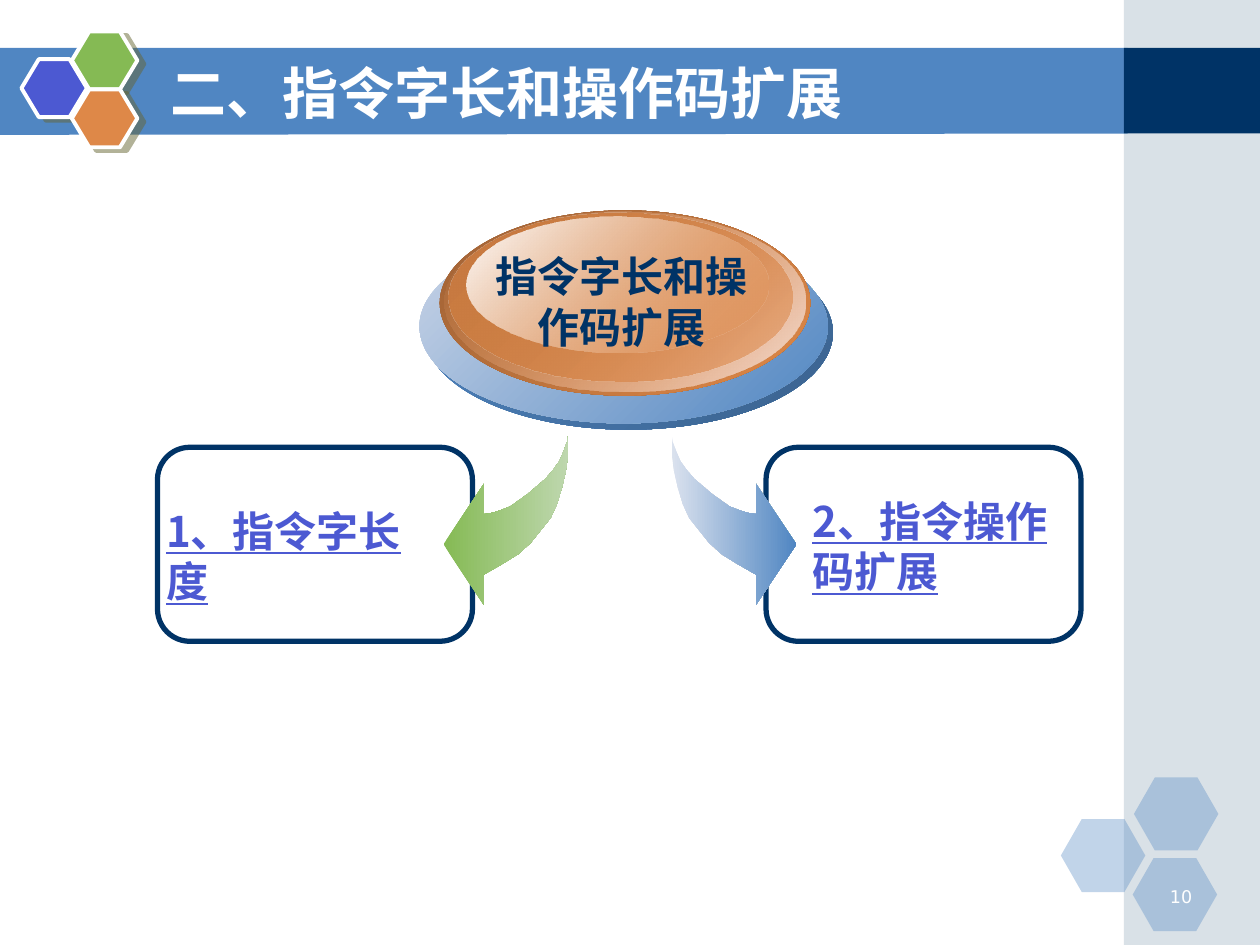
from lxml.etree import SubElement
from pptx import Presentation
from pptx.dml.color import RGBColor
from pptx.enum.shapes import MSO_SHAPE
from pptx.enum.text import MSO_ANCHOR, PP_ALIGN
from pptx.oxml.ns import qn
from pptx.util import Inches, Pt

WHITE = RGBColor(0xFF, 0xFF, 0xFF)
NAVY = RGBColor(0x00, 0x33, 0x66)
BLUE = RGBColor(0x50, 0x86, 0xC2)
DEEP = RGBColor(0x3A, 0x62, 0x8E)
PALE = RGBColor(0xCA, 0xD5, 0xE7)
MIST = RGBColor(0xDB, 0xE2, 0xEE)
SLATE = RGBColor(0xA0, 0xB5, 0xC4)
VIOLET = RGBColor(0x4C, 0x59, 0xD2)
GREEN = RGBColor(0x85, 0xBA, 0x54)
LIME = RGBColor(0xBE, 0xD7, 0xAE)
ORANGE = RGBColor(0xDE, 0x88, 0x48)
BROWN = RGBColor(0x9F, 0x61, 0x34)
COPPER = RGBColor(0xC9, 0x7B, 0x41)
CREAM = RGBColor(0xF4, 0xDF, 0xD6)
OLIVE = RGBColor(0x66, 0x66, 0x33)

NOTO = "Noto Sans CJK SC"
TITLE = "二、指令字长和操作码扩展"
LABELS = [
    ("1、指令字长度", (1.22, 3.96, 2.39, 0.5), dict(font=NOTO, color=VIOLET, under=True)),
    ("指令字长和操作码扩展", (3.74, 1.94, 2.39, 0.9),
     dict(font="Arial", color=NAVY, align=PP_ALIGN.CENTER)),
    ("2、指令操作码扩展", (6.35, 3.88, 2.23, 0.9), dict(font=NOTO, color=VIOLET, under=True)),
    ("10", (9.06, 6.98, 0.5, 0.25),
     dict(font="DejaVu Sans", size=10, color=WHITE, bold=False, align=PP_ALIGN.RIGHT)),
]
BAR = [(-0.01, 0.38), (8.95, 0.38), (8.95, 1.06), (-0.01, 1.07)]
CELLS = [(8.42, 6.5), (9, 6.17), (8.99, 6.81)]
LOGO = [(0.17, 0.47, VIOLET), (0.57, 0.25, GREEN), (0.57, 0.71, ORANGE)]
CARDS = [6.08, 1.25]
ARROW = [
    (4.51, 3.45), (4.51, 3.6), (4.49, 3.74), (4.46, 3.87), (4.42, 4), (4.37, 4.11),
    (4.29, 4.21), (4.21, 4.31), (4.11, 4.4), (3.98, 4.48), (3.84, 4.56), (3.84, 4.8),
    (3.52, 4.32), (3.84, 3.84), (3.84, 4.08), (3.91, 4.07), (3.97, 4.05), (4.05, 4.02),
    (4.12, 3.97), (4.19, 3.92), (4.26, 3.86), (4.33, 3.8), (4.39, 3.73), (4.44, 3.66),
    (4.47, 3.59), (4.5, 3.51),
]
AXIS = 4.92
DISCS = [
    ((3.37, 1.87, 3.24, 1.54), (BLUE, 100), (DEEP, 100)),
    ((3.33, 1.82, 3.24, 1.54), (PALE, 100), (BLUE, 100)),
    ((3.49, 1.67, 2.94, 1.47), (BROWN, 100), (ORANGE, 100)),
    ((3.53, 1.68, 2.86, 1.43), (ORANGE, 0), (CREAM, 100)),
    ((3.56, 1.69, 2.73, 1.34), (COPPER, 100), (ORANGE, 48)),
    ((3.7, 1.72, 2.4, 1.08), (WHITE, 100), (ORANGE, 38)),
]

deck = Presentation()
deck.slide_width, deck.slide_height = Inches(10), Inches(7.5)
slide = deck.slides.add_slide(deck.slide_layouts[5])
shapes = slide.shapes


def tint(node, color, alpha):
    rgb = SubElement(node, qn("a:srgbClr"), val=str(color))
    if alpha < 100:
        SubElement(rgb, qn("a:alpha"), val=str(alpha * 1000))


def paint(shape, fill=None, alpha=100, line=None, width=1):
    shape.shadow.inherit = False
    if fill is None:
        shape.fill.background()
    else:
        shape.fill.solid()
        shape.fill.fore_color.rgb = fill
        if alpha < 100:
            rgb = shape.element.spPr.find(qn("a:solidFill"))[0]
            SubElement(rgb, qn("a:alpha"), val=str(alpha * 1000))
    if line is None:
        shape.line.fill.background()
    else:
        shape.line.color.rgb = line
        shape.line.width = Pt(width)
    return shape


def blend(shape, stops, angle):
    paint(shape, WHITE)
    solid = shape.element.spPr.find(qn("a:solidFill"))
    grad = solid.makeelement(qn("a:gradFill"), {"rotWithShape": "1"})
    solid.getparent().replace(solid, grad)
    items = SubElement(grad, qn("a:gsLst"))
    for pos, (color, alpha) in zip((0, 100000), stops):
        tint(SubElement(items, qn("a:gs"), pos=str(pos)), color, alpha)
    SubElement(grad, qn("a:lin"), ang=str(angle * 60000), scaled="0")


def add(kind, box, adjust=None, **look):
    shape = shapes.add_shape(kind, *map(Inches, box))
    if adjust is not None:
        shape.adjustments[0] = adjust
    return paint(shape, **look)


def trace(points):
    spots = [(Inches(x), Inches(y)) for x, y in points]
    pen = shapes.build_freeform(*spots[0], scale=1.0)
    pen.add_line_segments(spots[1:], close=True)
    return pen.convert_to_shape()


def cast(shape):
    effects = shape.element.spPr.find(qn("a:effectLst"))
    shade = SubElement(effects, qn("a:outerShdw"), blurRad="0", dist=str(int(Pt(4.5))),
                       dir=str(27 * 60000), algn="ctr", rotWithShape="0")
    tint(shade, OLIVE, 50)


def write(shape, text, font=NOTO, size=24, color=NAVY, bold=True, under=False,
          align=PP_ALIGN.LEFT, anchor=MSO_ANCHOR.TOP):
    frame = shape.text_frame
    frame.word_wrap = True
    frame.vertical_anchor = anchor
    para = frame.paragraphs[0]
    para.alignment = align
    run = para.add_run()
    run.text = text
    face = run.font
    face.name, face.size, face.bold, face.underline = font, Pt(size), bold, under
    face.color.rgb = color
    if font == NOTO:
        for props in shape.element.iter(qn("a:rPr")):
            SubElement(props, qn("a:ea"), typeface=font)


paint(trace(BAR), BLUE)
add(MSO_SHAPE.RECTANGLE, (8.92, 0, 1.08, 7.5), fill=SLATE, alpha=40)
add(MSO_SHAPE.RECTANGLE, (8.92, 0.38, 1.08, 0.68), fill=NAVY)
for x, y in CELLS:
    add(MSO_SHAPE.HEXAGON, (x, y, 0.67, 0.58), 0.286, fill=BLUE, alpha=35)
for x, y, color in LOGO:
    cast(add(MSO_SHAPE.HEXAGON, (x, y, 0.52, 0.46), 0.3, fill=color, line=WHITE, width=2.25))

title = shapes.title
title.left, title.top, title.width, title.height = map(Inches, (1.25, 0.42, 7.33, 0.62))
write(title, TITLE, size=32, color=WHITE, anchor=MSO_ANCHOR.MIDDLE)
title.element.getparent().append(title.element)

for x in CARDS:
    add(MSO_SHAPE.ROUNDED_RECTANGLE, (x, 3.55, 2.5, 1.54), 0.167, line=NAVY, width=3)
blend(trace(ARROW), [(GREEN, 100), (LIME, 100)], 0)
blend(trace([(2 * AXIS - x, y) for x, y in ARROW]), [(MIST, 100), (BLUE, 100)], 0)
for box, *stops in DISCS:
    blend(add(MSO_SHAPE.OVAL, box), stops, 45)
for text, box, look in LABELS:
    write(shapes.add_textbox(*map(Inches, box)), text, **look)

deck.save("out.pptx")
